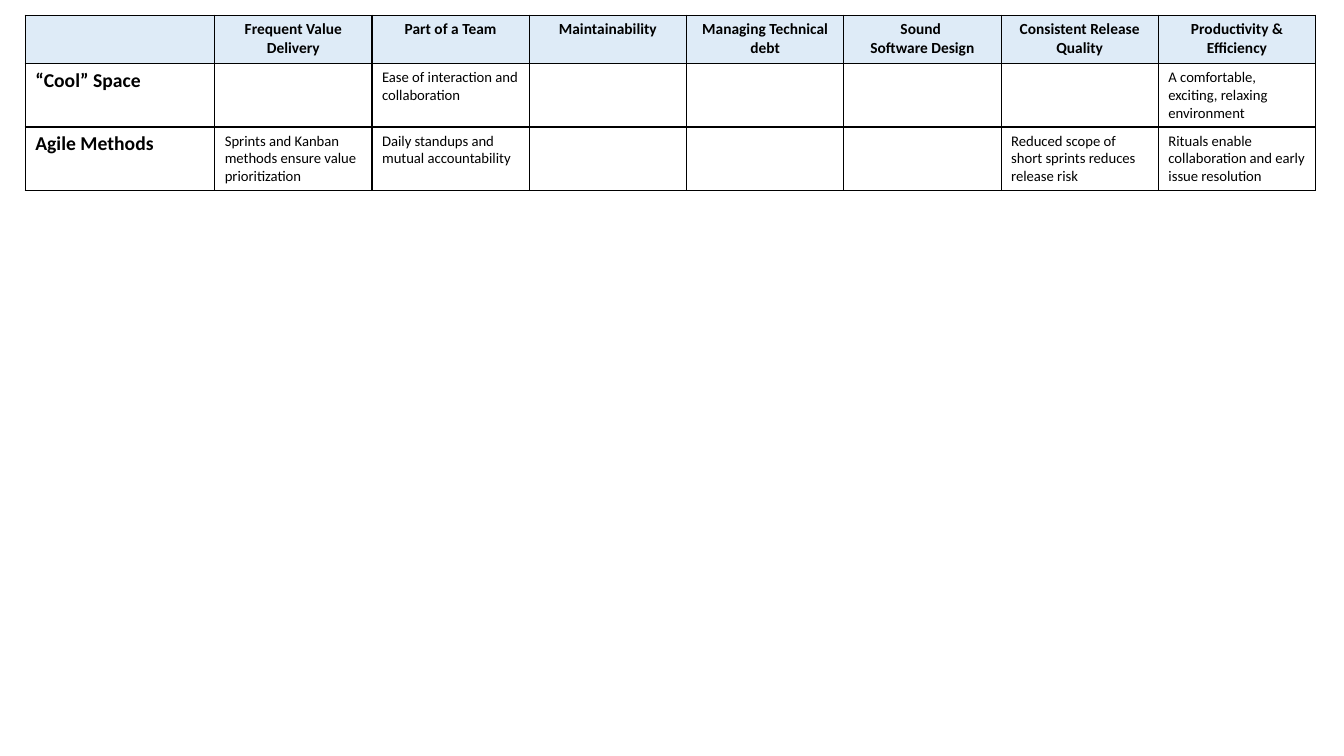
from lxml.etree import SubElement
from pptx import Presentation
from pptx.dml.color import RGBColor
from pptx.enum.text import PP_ALIGN as Align
from pptx.oxml.ns import qn
from pptx.util import Inches, Pt

GOALS = ["Frequent Value Delivery", "Part of a Team", "Maintainability",
         "Managing Technical debt", "Sound \nSoftware Design",
         "Consistent Release Quality", "Productivity & Efficiency"]
PRACTICES = {
    "“Cool” Space": {
        "Part of a Team": "Ease of interaction and collaboration",
        "Productivity & Efficiency": "A comfortable, exciting, relaxing environment",
    },
    "Agile Methods": {
        "Frequent Value Delivery": "Sprints and Kanban methods ensure value prioritization",
        "Part of a Team": "Daily standups and mutual accountability",
        "Consistent Release Quality": "Reduced scope of short sprints reduces release risk",
        "Productivity & Efficiency": "Rituals enable collaboration and early issue resolution",
    },
}
COLORS = {"header": "DEEBF7", "body": "FFFFFF", "ink": "000000"}
FORMATS = {
    "goal": {"size": Pt(11), "bold": True},
    "practice": {"size": Pt(14), "bold": True},
    "benefit": {"size": Pt(10.5), "bold": False},
}
SLIDE_W, SLIDE_H = 13.33, 7.5
LEFT, TOP = 0.25, 0.15
PRACTICE_W, GOAL_W = 1.88, 1.56
HEADER_H, PRACTICE_H = 0.48, 0.63
BORDER = Pt(1)


def add_borders(cell):
    """Draw a thin line on all four sides of a cell."""
    properties = cell._tc.get_or_add_tcPr()
    for place, side in enumerate(("lnL", "lnR", "lnT", "lnB")):
        line = SubElement(properties, qn(f"a:{side}"), w=str(int(BORDER)))
        fill = SubElement(line, qn("a:solidFill"))
        SubElement(fill, qn("a:srgbClr"), val=COLORS["ink"])
        properties.insert(place, line)


def fill_cell(cell, words, role):
    """Write and format one cell according to its role."""
    cell.text = words
    cell.fill.solid()
    cell.fill.fore_color.rgb = RGBColor.from_string(
        COLORS["header" if role == "goal" else "body"])
    for paragraph in cell.text_frame.paragraphs:
        paragraph.alignment = Align.CENTER if role == "goal" else Align.LEFT
        paragraph.font.name = "Calibri"
        paragraph.font.color.rgb = RGBColor.from_string(COLORS["ink"])
        for font in [paragraph.font, *(run.font for run in paragraph.runs)]:
            for attribute, value in FORMATS[role].items():
                setattr(font, attribute, value)
    add_borders(cell)


deck = Presentation()
deck.slide_width, deck.slide_height = Inches(SLIDE_W), Inches(SLIDE_H)
slide = deck.slides.add_slide(deck.slide_layouts[6])

widths = [PRACTICE_W] + [GOAL_W] * len(GOALS)
heights = [HEADER_H] + [PRACTICE_H] * len(PRACTICES)
matrix = slide.shapes.add_table(
    len(heights), len(widths), Inches(LEFT), Inches(TOP),
    Inches(sum(widths)), Inches(sum(heights))).table
matrix.first_row = matrix.horz_banding = False
for column, width in zip(matrix.columns, widths):
    column.width = Inches(width)
for row, height in zip(matrix.rows, heights):
    row.height = Inches(height)

content = [["", *GOALS]] + [
    [practice, *(benefits.get(goal, "") for goal in GOALS)]
    for practice, benefits in PRACTICES.items()]
for r, line in enumerate(content):
    for c, words in enumerate(line):
        role = "goal" if r == 0 else "practice" if c == 0 else "benefit"
        fill_cell(matrix.cell(r, c), words, role)

deck.save("out.pptx")
